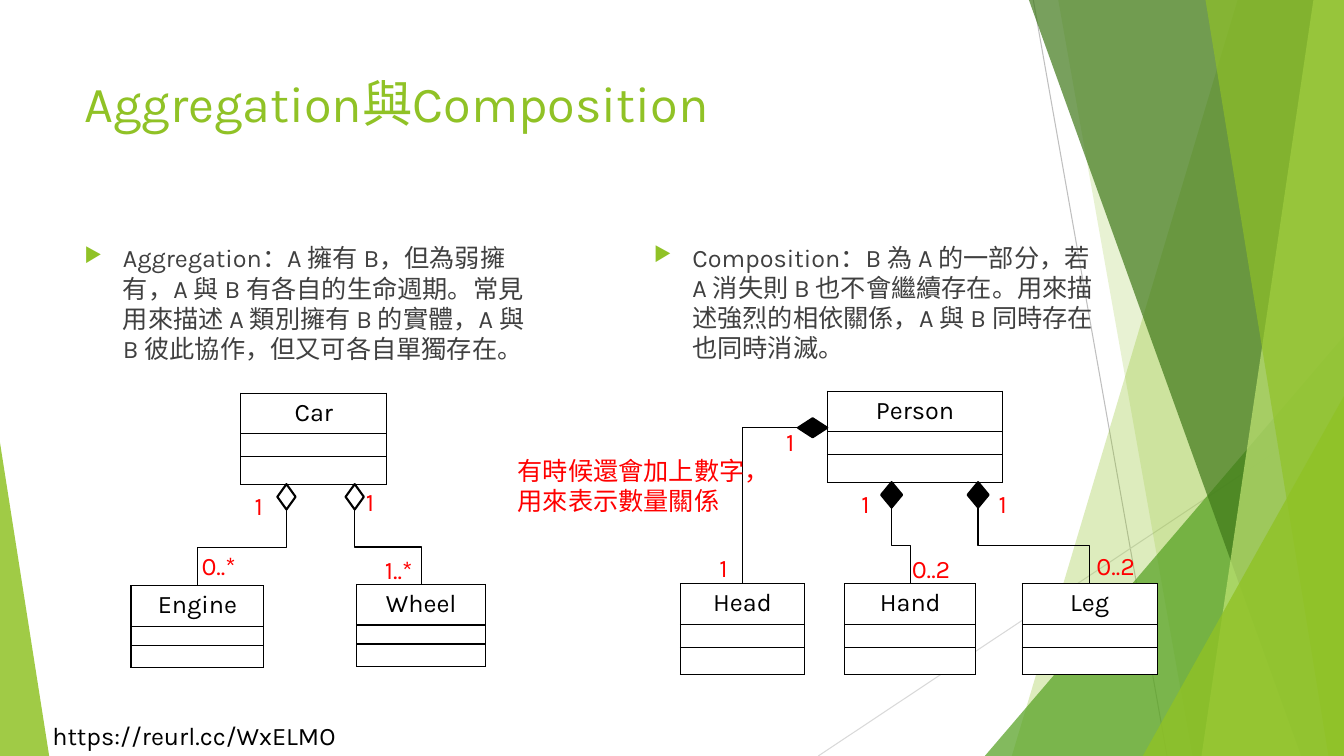
import pptx
import pptx.util
import pptx.dml.color
import pptx.enum.dml
import pptx.enum.shapes
import pptx.enum.text
import pptx.oxml.ns
from dataclasses import dataclass
from lxml import etree

Cm = pptx.util.Cm
SHAPES = pptx.enum.shapes.MSO_SHAPE
CONNECTORS = pptx.enum.shapes.MSO_CONNECTOR


@dataclass(frozen=True)
class Theme:
    font: str = "Karla"
    title_size: int = 36
    text_size: int = 18
    empty_row_size: int = 5
    green: str = "90C226"
    mid_green: str = "54A021"
    dark_green: str = "3F7819"
    pale_green: str = "C0E474"
    body: str = "404040"
    ink: str = "000000"
    paper: str = "FFFFFF"
    note: str = "FF0000"
    rule_width: float = 1
    diamond_width: float = 1.5


THEME = Theme()

# Content: all lengths in centimetres
WIDTH, HEIGHT = 33.87, 19.05
HAIRLINES = [((26.04, 0), (29.41, HEIGHT), "BFBFBF"),
             ((WIDTH, 10.24), (20.62, HEIGHT), "D9D9D9")]
# Bands: kind, then (top x, bottom x) or (left, top, width, apex), colour, opacity
FACETS = [
    ("band", (31.19, 25.5), THEME.green, 30),
    ("band", (26.67, 30.05), THEME.green, 20),
    ("triangle", (24.82, 8.47, 9.05, 1), THEME.mid_green, 72),
    ("band", (25.93, 32.79), THEME.dark_green, 70),
    ("band", (33.1, 30.28), THEME.pale_green, 70),
    ("band", (30.38, 33.48), THEME.green, 65),
    ("triangle", (28.8, 9.98, 5.07, 1), THEME.green, 80),
    ("triangle", (0, 11.15, 1.24, 0), THEME.green, 85),
]
LINK = ("https://reurl.cc/WxELMO", (1.07, 18.03, 7.92, 1.02))
TITLE = ("Aggregation與Composition", (1.88, 1.7, 23.88, 3.66))
BODIES = [
    ("Aggregation：A 擁有 B，但為弱擁有，A 與 B 有各自的生命週期。常見用來描述 A 類別擁有 B 的實體，"
     "A 與 B 彼此協作，但又可各自單獨存在。", (1.88, 5.99, 11.63, 10.77)),
    ("Composition：B 為 A 的一部分，若 A 消失則 B 也不會繼續存在。用來描述強烈的相依關係，"
     "A 與 B 同時存在也同時消滅。", (16.23, 5.97, 11.63, 10.77)),
]
TALL, SHORT = (1.02, 0.58, 0.69), (1.02, 0.48, 0.56)
# Class name: left, top, width, row heights
CLASSES = {
    "Car": (6.07, 9.91, 3.68, TALL),
    "Engine": (3.3, 14.76, 3.35, SHORT),
    "Wheel": (8.99, 14.73, 3.25, SHORT),
    "Person": (20.85, 9.86, 4.42, TALL),
    "Hand": (21.29, 14.71, 3.3, TALL),
    "Leg": (25.76, 14.71, 3.4, TALL),
    "Head": (17.15, 14.71, 3.12, TALL),
}
# Whole, part, side of the whole, diamond centre along that side, size, fill
RELATIONS = [
    ("Car", "Engine", "bottom", 7.22, (0.46, 0.64), THEME.paper),
    ("Car", "Wheel", "bottom", 8.94, (0.46, 0.64), THEME.paper),
    ("Person", "Hand", "bottom", 22.47, (0.53, 0.64), THEME.ink),
    ("Person", "Leg", "bottom", 24.65, (0.53, 0.64), THEME.ink),
    ("Person", "Head", "left", 10.78, (0.74, 0.48), THEME.ink),
]
NOTE = ("有時候還會加上數字，\n用來表示數量關係", (12.8, 11.35, 6.93, 1.8))
LABEL_WIDTHS = {"1": 0.86, "0..2": 1.65, "0..*": 1.55, "1..*": 1.55}
MULTIPLICITIES = [
    ("1", 19.56, 10.62), ("1", 17.88, 13.79), ("1", 21.46, 12.17),
    ("0..2", 22.73, 13.82), ("1", 24.92, 12.19), ("0..2", 27.38, 13.74),
    ("1", 8.97, 12.14), ("1..*", 9.45, 13.84), ("1", 6.17, 12.22),
    ("0..*", 4.83, 13.74),
]

presentation = pptx.Presentation()
presentation.slide_width, presentation.slide_height = Cm(WIDTH), Cm(HEIGHT)
slide = presentation.slides.add_slide(presentation.slide_layouts[6])


def rgb(colour):
    return pptx.dml.color.RGBColor.from_string(colour)


def add_element(parent, tag, **attributes):
    return etree.SubElement(parent, pptx.oxml.ns.qn(tag), attributes)


def apply_format(target, values):
    for name, value in values.items():
        setattr(target, name, value)


def style_font(font, colour, size=THEME.text_size):
    apply_format(font, {"name": THEME.font, "size": pptx.util.Pt(size)})
    font.color.rgb = rgb(colour)


def add_text(text, box, colour, size=THEME.text_size, wrap=False, bullet=False):
    frame = slide.shapes.add_textbox(*map(Cm, box)).text_frame
    fit = pptx.enum.text.MSO_AUTO_SIZE
    apply_format(frame, {"word_wrap": wrap, "text": text,
                         "auto_size": fit.NONE if wrap else fit.SHAPE_TO_FIT_TEXT})
    for paragraph in frame.paragraphs:
        if bullet:
            add_bullet(paragraph)
        for run in paragraph.runs:
            style_font(run.font, colour, size)


def add_bullet(paragraph):
    properties = paragraph._p.get_or_add_pPr()
    properties.set("marL", str(Cm(0.97)))
    properties.set("indent", str(-Cm(0.97)))
    add_element(add_element(properties, "a:buClr"), "a:srgbClr", val=THEME.green)
    add_element(properties, "a:buSzPct", val="80000")
    add_element(properties, "a:buChar", char="▶")


def add_line(kind, start, end, colour, width):
    line = slide.shapes.add_connector(kind, *map(Cm, (*start, *end)))
    line.line.color.rgb = rgb(colour)
    line.line.width = pptx.util.Pt(width)
    add_element(line._element.spPr, "a:effectLst")
    return line


def add_facet(kind, geometry, colour, opacity):
    if kind == "band":
        top, bottom = geometry
        builder = slide.shapes.build_freeform(Cm(top), 0)
        corners = [(WIDTH, 0), (WIDTH, HEIGHT), (bottom, HEIGHT)]
        builder.add_line_segments([(Cm(x), Cm(y)) for x, y in corners])
        shape = builder.convert_to_shape()
    else:
        left, top, width, apex = geometry
        shape = slide.shapes.add_shape(SHAPES.ISOSCELES_TRIANGLE,
                                       *map(Cm, (left, top, width, HEIGHT - top)))
        shape.adjustments[0] = apex
    shape.shadow.inherit = False
    shape.fill.solid()
    shape.fill.fore_color.rgb = rgb(colour)
    shape.line.fill.background()
    tint = shape._element.spPr.find(".//" + pptx.oxml.ns.qn("a:srgbClr"))
    add_element(tint, "a:alpha", val=str(opacity * 1000))


def add_class(name, left, top, width, heights):
    frame = slide.shapes.add_table(len(heights), 1, *map(Cm, (left, top, width, sum(heights))))
    table = frame.table
    apply_format(table, {"first_row": False, "horz_banding": False})
    for row, height in zip(table.rows, heights):
        row.height = Cm(height)
        cell = row.cells[0]
        for side in "LRTB":
            border = add_element(cell._tc.get_or_add_tcPr(), "a:ln" + side,
                                 w=str(pptx.util.Pt(THEME.rule_width)))
            add_element(add_element(border, "a:solidFill"), "a:srgbClr", val=THEME.ink)
        cell.fill.solid()
        cell.fill.fore_color.rgb = rgb(THEME.paper)
        if row is not table.rows[0] and cell is not table.cell(0, 0) and cell._tc is not table.cell(0, 0)._tc:
            apply_format(cell, {"margin_top": 0, "margin_bottom": 0})
            add_element(cell.text_frame.paragraphs[0]._p, "a:endParaRPr",
                        sz=str(THEME.empty_row_size * 100))
    paragraph = table.cell(0, 0).text_frame.paragraphs[0]
    paragraph.alignment = pptx.enum.text.PP_ALIGN.CENTER
    run = paragraph.add_run()
    run.text = name
    style_font(run.font, THEME.ink)


def add_vertical_elbow(start, end):
    """Elbow that leaves downwards: a sideways one turned by a quarter."""
    (x1, y1), (x2, y2) = start, end
    centre_x, centre_y = (x1 + x2) / 2, (y1 + y2) / 2
    sign = 1 if x2 > x1 else -1
    reach, rise = sign * (y2 - y1) / 2, abs(x2 - x1) / 2
    line = add_line(CONNECTORS.ELBOW, (centre_x + reach, centre_y - rise),
                    (centre_x - reach, centre_y + rise), THEME.ink, THEME.rule_width)
    line._element.spPr.xfrm.set("rot", str((270 if sign > 0 else 90) * 60000))


def add_relation(whole, part, side, centre, size, colour):
    whole_left, whole_top, _, heights = CLASSES[whole]
    part_left, part_top, part_width, _ = CLASSES[part]
    width, height = size
    end = (part_left + part_width / 2, part_top)
    if side == "bottom":
        left, top = centre - width / 2, whole_top + sum(heights)
        add_vertical_elbow((centre, top + height), end)
    else:
        left, top = whole_left - width, centre - height / 2
        line = add_line(CONNECTORS.ELBOW, (left, centre), end, THEME.ink, THEME.rule_width)
        line._element.spPr.prstGeom.set("prst", "bentConnector2")
    diamond = slide.shapes.add_shape(SHAPES.DIAMOND, *map(Cm, (left, top, width, height)))
    diamond.shadow.inherit = False
    diamond.fill.solid()
    diamond.fill.fore_color.rgb = rgb(colour)
    diamond.line.color.rgb = rgb(THEME.ink)
    diamond.line.width = pptx.util.Pt(THEME.diamond_width)


# Background
for start, end, colour in HAIRLINES:
    add_line(CONNECTORS.STRAIGHT, start, end, colour, 0.75)
for facet in FACETS:
    add_facet(*facet)

# Title and text
add_text(*LINK, THEME.ink)
add_text(*TITLE, THEME.green, THEME.title_size, wrap=True)
for text, box in BODIES:
    add_text(text, box, THEME.body, wrap=True, bullet=True)

# Class diagrams
for name, geometry in CLASSES.items():
    add_class(name, *geometry)
for relation in RELATIONS:
    add_relation(*relation)

# Red notes
add_text(*NOTE, THEME.note)
for text, left, top in MULTIPLICITIES:
    add_text(text, (left, top, LABEL_WIDTHS[text], 1.02), THEME.note)

presentation.save("out.pptx")
